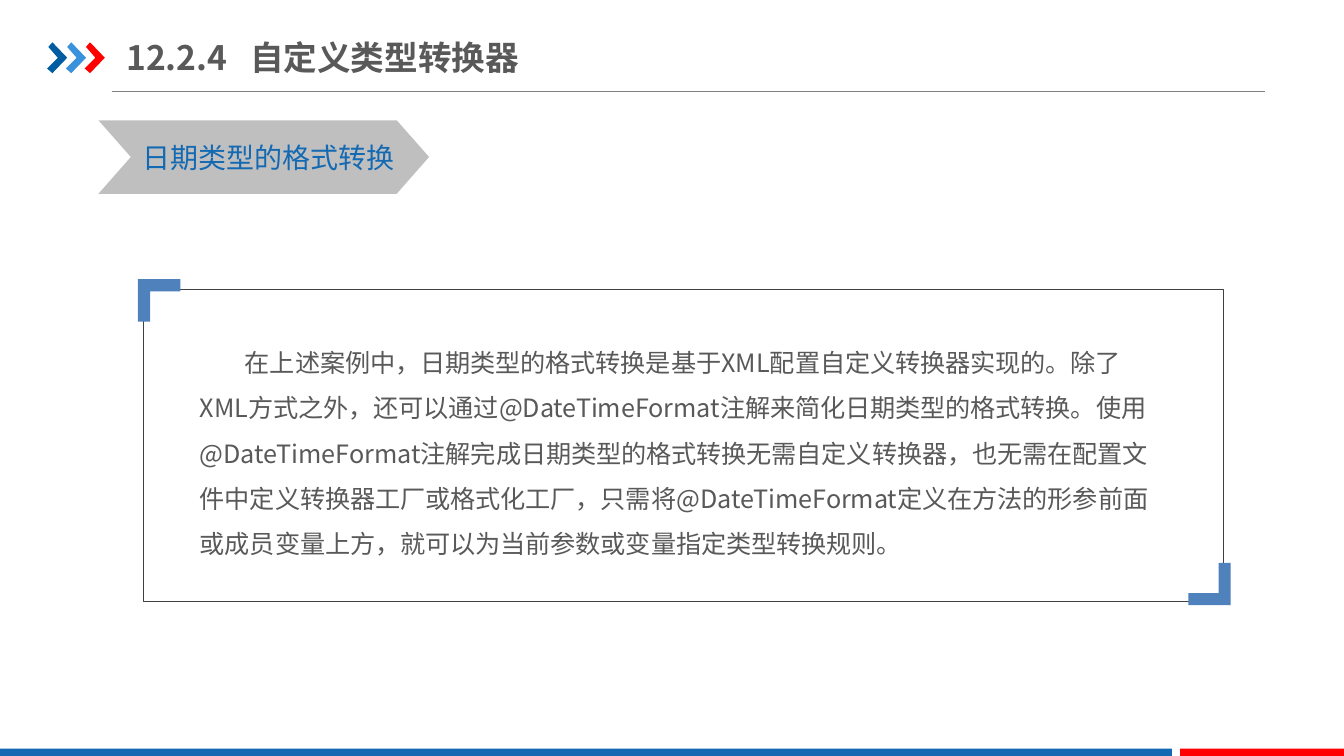
from lxml.etree import SubElement
from pptx import Presentation
from pptx.dml.color import RGBColor
from pptx.enum.shapes import MSO_CONNECTOR, MSO_SHAPE
from pptx.enum.text import MSO_ANCHOR, MSO_AUTO_SIZE, PP_ALIGN
from pptx.oxml.ns import qn
from pptx.util import Emu, Inches, Pt

FONT = "Noto Sans CJK SC"
NAVY = RGBColor(0x00, 0x5D, 0xA2)
SKY = RGBColor(0x39, 0x92, 0xDB)
RED = RGBColor(0xFF, 0x00, 0x00)
BLUE = RGBColor(0x13, 0x69, 0xB2)
STEEL = RGBColor(0x4F, 0x81, 0xBD)
SILVER = RGBColor(0xBF, 0xBF, 0xBF)
GRAY = RGBColor(0x80, 0x80, 0x80)
INK = RGBColor(0x59, 0x59, 0x59)
DARK = RGBColor(0x40, 0x40, 0x40)

# 16:9 slide on a square grid: 100 columns by 56.25 rows
COLS, ROWS = 100, 56.25
WIDTH = Inches(10)
HEIGHT = Emu(WIDTH * 9 // 16)
CELL = WIDTH / COLS


def grid(*counts):
    """Turn counts of cells into lengths."""
    return [Emu(round(n * CELL)) for n in counts]


def paint(shape, fill=None, line=None, width=0.25):
    shape.shadow.inherit = False
    if fill is None:
        shape.fill.background()
    else:
        shape.fill.solid()
        shape.fill.fore_color.rgb = fill
    if line is None:
        shape.line.fill.background()
    else:
        shape.line.color.rgb = line
        shape.line.width = Pt(width)
    return shape


def block(slide, kind, box, **look):
    return paint(slide.shapes.add_shape(kind, *grid(*box)), **look)


def outline(slide, points, fill):
    first, *rest = [grid(*p) for p in points]
    pen = slide.shapes.build_freeform(*first, scale=1.0)
    pen.add_line_segments(rest, close=True)
    paint(pen.convert_to_shape(), fill)


def place(shape, box, pad, anchor=MSO_ANCHOR.TOP, wrap=True):
    """Put a text holder in its box and return its first paragraph."""
    shape.left, shape.top, shape.width, shape.height = grid(*box)
    frame = shape.text_frame
    frame.auto_size = MSO_AUTO_SIZE.NONE
    frame.word_wrap = wrap
    frame.vertical_anchor = anchor
    side, edge = grid(*pad)
    frame.margin_left = frame.margin_right = side
    frame.margin_top = frame.margin_bottom = edge
    para = frame.paragraphs[0]
    para.alignment = PP_ALIGN.LEFT
    para.space_before = Pt(0)
    return para


def write(para, text, size, color, bold=False):
    run = para.add_run()
    run.text = text
    font = run.font
    font.name, font.size, font.bold = FONT, Pt(size), bold
    font.color.rgb = color
    SubElement(font._element, qn("a:ea")).set("typeface", FONT)


def header(slide, box):
    """Three arrows, the title and a double rule under them."""
    x, y, w, h = box
    for i, color in enumerate((NAVY, SKY, RED)):
        left, top = x + 1.4 * i, y + 1
        notch = [(0.1, 0.35), (0.4, 0), (1.5, 1.15),
                 (0.4, 2.3), (0, 1.95), (0.8, 1.15)]
        outline(slide, [(left + a, top + b) for a, b in notch], color)

    para = place(slide.shapes.title, (x + 5.9, y, 30.6, 4.2), (0, 0.5),
                 MSO_ANCHOR.MIDDLE)
    tabs = SubElement(para._p.get_or_add_pPr(), qn("a:tabLst"))
    stop = SubElement(tabs, qn("a:tab"))
    stop.set("pos", str(grid(9.2)[0]))
    stop.set("algn", "l")
    write(para, "12.2.4\t自定义类型转换器", 18, INK, True)

    for end in (x + w - 2.9, x + w):
        rule = slide.shapes.add_connector(
            MSO_CONNECTOR.STRAIGHT, *grid(x + 4.8, y + h, end, y + h))
        rule.line.color.rgb = GRAY
        rule.line.width = Pt(0.75)
        SubElement(rule._element.spPr, qn("a:effectLst"))


def topic(slide, box, text):
    x, y, w, h = box
    tag = block(slide, MSO_SHAPE.CHEVRON, box, fill=SILVER)
    tag.adjustments[0] = 0.44
    label = slide.shapes.add_textbox(*grid(*box))
    para = place(label, (x + 2.3, y + 1, w - 3, h - 2), (1, 0.5), wrap=False)
    write(para, text, 15, BLUE)


def panel(slide, box, text):
    """Framed paragraph with two marked corners."""
    x, y, w, h = box
    para = place(slide.placeholders[1], (x + 3.5, y + 2.8, 72.8, 17.9),
                 (0.7, 0.4))
    para.line_spacing = 1.5
    props = para._p.get_or_add_pPr()
    props.set("marL", "0")
    props.set("indent", str(grid(3.35)[0]))
    SubElement(props, qn("a:buNone"))
    write(para, text, 13.5, INK)

    block(slide, MSO_SHAPE.RECTANGLE, box, line=DARK)
    bend = [(0, 0), (3.15, 0), (3.15, 0.9), (0.9, 0.9), (0.9, 3.15), (0, 3.15)]
    for left, top, way in ((x - 0.4, y - 0.75, 1),
                           (x + w + 0.55, y + h + 0.3, -1)):
        outline(slide, [(left + way * a, top + way * b) for a, b in bend],
                STEEL)


def footer(slide, box):
    x, y, w, h = box
    split, gap = 0.87 * w + 0.2, 0.6
    start = split + gap
    block(slide, MSO_SHAPE.RECTANGLE, (x, y, split, h), fill=BLUE)
    block(slide, MSO_SHAPE.RECTANGLE, (x + start, y, w - start, h), fill=RED)


def main():
    deck = Presentation()
    deck.slide_width, deck.slide_height = WIDTH, HEIGHT
    slide = deck.slides.add_slide(deck.slide_layouts[1])
    header(slide, (3.5, 2.15, 90.6, 4.67))
    footer(slide, (0, ROWS - 0.55, COLS, 0.55))
    topic(slide, (7.33, 8.95, 24.6, 5.47), "日期类型的格式转换")
    panel(slide, (10.67, 21.53, 80.35, 23.2),
          "在上述案例中，日期类型的格式转换是基于XML配置自定义转换器实现的。"
          "除了XML方式之外，还可以通过@DateTimeFormat注解来简化日期类型的格式转换。"
          "使用@DateTimeFormat注解完成日期类型的格式转换无需自定义转换器，"
          "也无需在配置文件中定义转换器工厂或格式化工厂，"
          "只需将@DateTimeFormat定义在方法的形参前面或成员变量上方，"
          "就可以为当前参数或变量指定类型转换规则。")
    deck.save("out.pptx")


if __name__ == "__main__":
    main()
